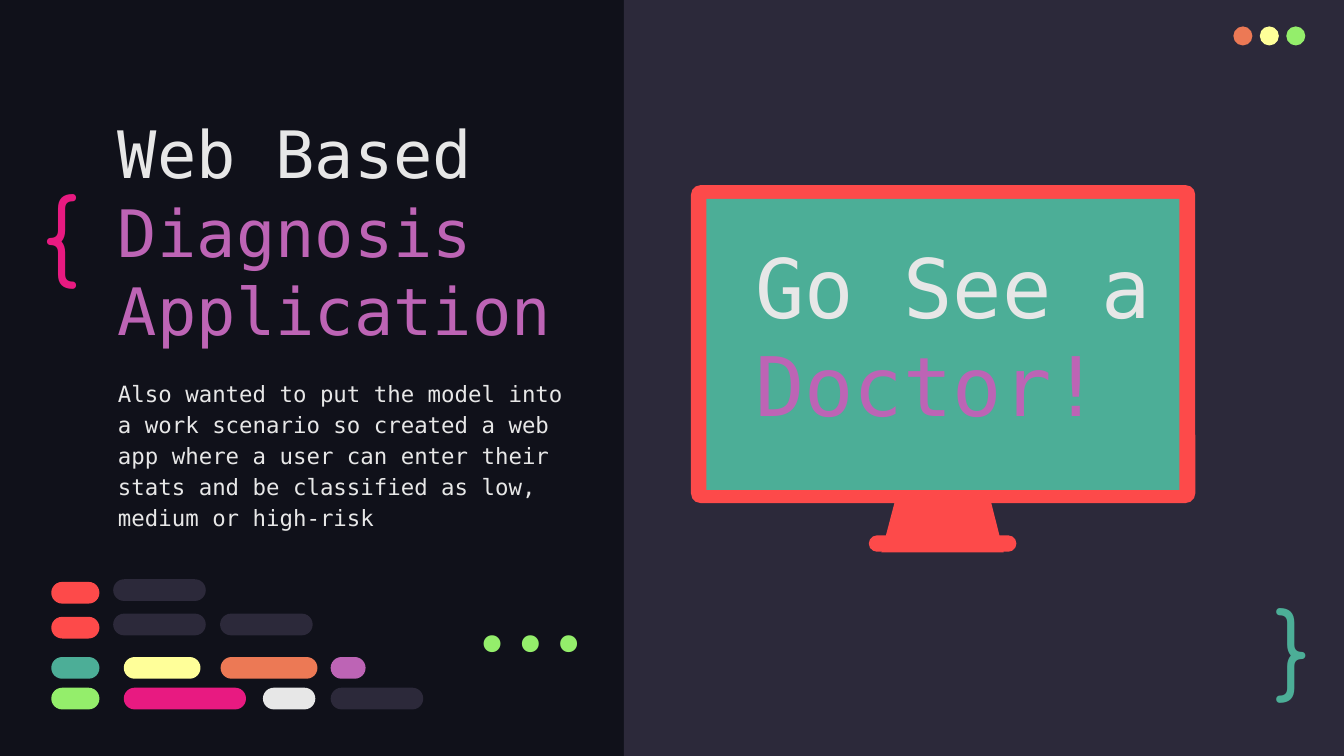
from pptx import Presentation
from pptx.dml.color import RGBColor
from pptx.enum.shapes import MSO_SHAPE as Preset
from pptx.enum.text import MSO_ANCHOR as Anchor, MSO_AUTO_SIZE as AutoSize, PP_ALIGN as Align
from pptx.util import Cm, Pt

NIGHT, SLATE, WHITE = "10111A", "2C293A", "E7E7E7"
RED, TEAL, GREEN, YELLOW = "FD4A4A", "4CAE97", "94EE6B", "FFFF99"
ORANGE, PURPLE, PINK = "EC7955", "BD64B5", "E81A81"
MONO, BRACE, CODE = "DejaVu Sans Mono", "Comfortaa", "Fira Code"


def color(hex_value):
    return RGBColor.from_string(hex_value)


class SlideBuilder:
    """Holds the text style and the slide being built; all lengths are in cm."""

    inset = 0.25

    def __init__(self, slide):
        self.slide = slide
        slide.background.fill.solid()
        slide.background.fill.fore_color.rgb = color(NIGHT)

    def group(self):
        return self.slide.shapes.add_group_shape().shapes

    def paint(self, shape, fill):
        shape.shadow.inherit = False
        shape.fill.solid()
        shape.fill.fore_color.rgb = color(fill)
        shape.line.fill.background()

    def shape(self, preset, box, fill, into=None, rounding=None):
        shapes = self.slide.shapes if into is None else into
        shape = shapes.add_shape(preset, *map(Cm, box))
        if rounding is not None:
            shape.adjustments[0] = rounding
        self.paint(shape, fill)

    def pill(self, box, fill, into):
        self.shape(Preset.ROUNDED_RECTANGLE, box, fill, into, 0.5)

    def polygon(self, points, fill, into):
        corners = [(Cm(x), Cm(y)) for x, y in points]
        outline = into.build_freeform(*corners[0])
        outline.add_line_segments(corners[1:], close=True)
        self.paint(outline.convert_to_shape(), fill)

    def text(self, box, runs, size, font=MONO, anchor=Anchor.TOP,
             align=Align.LEFT, spacing=1.0, holder=None):
        """Write (text, colour) runs in a placeholder, or in a new text box."""
        if holder is None:
            holder = self.slide.shapes.add_textbox(*map(Cm, box))
        for name, length in zip(("left", "top", "width", "height"), box):
            setattr(holder, name, Cm(length))
        frame = holder.text_frame
        frame_format = {"word_wrap": True, "auto_size": AutoSize.NONE,
                        "vertical_anchor": anchor}
        for side in ("left", "top", "right", "bottom"):
            frame_format[f"margin_{side}"] = Cm(self.inset)
        for name, value in frame_format.items():
            setattr(frame, name, value)
        paragraph = frame.paragraphs[0]
        paragraph_format = {"alignment": align, "line_spacing": spacing,
                            "space_before": Pt(0), "space_after": Pt(0)}
        for name, value in paragraph_format.items():
            setattr(paragraph, name, value)
        for words, hex_value in runs:
            run = paragraph.add_run()
            run.text = words
            run.font.name, run.font.size = font, Pt(size)
            run.font.color.rgb = color(hex_value)


def add_monitor(builder):
    monitor = builder.group()
    builder.polygon([(16.92, 9.45), (16.66, 10.44), (18.97, 10.44), (18.72, 9.45)],
                    RED, monitor)
    builder.shape(Preset.ROUNDED_RECTANGLE, (13.06, 3.5, 9.53, 6.01), RED, monitor, 0.03)
    builder.shape(Preset.RECTANGLE, (13.35, 3.76, 8.94, 5.5), TEAL, monitor)
    builder.pill((16.42, 10.12, 2.79, 0.31), RED, monitor)


def add_window_dots(builder):
    dots = builder.group()
    for i, fill in enumerate((ORANGE, YELLOW, GREEN)):
        builder.shape(Preset.OVAL, (23.31 + 0.5 * i, 0.5, 0.36, 0.36), fill, dots)


def add_code_lines(builder):
    """Each row is its top and its pills as (left, width, colour)."""
    rows = [
        (11.0, [(0.97, 0.91, RED)]),
        (11.66, [(0.97, 0.91, RED)]),
        (12.42, [(0.97, 0.91, TEAL), (2.34, 1.45, YELLOW),
                 (4.17, 1.83, ORANGE), (6.25, 0.66, PURPLE)]),
        (13.0, [(0.97, 0.91, GREEN), (2.34, 2.31, PINK),
                (4.97, 0.99, WHITE), (6.25, 1.75, SLATE)]),
        (11.6, [(2.14, 1.75, SLATE), (4.16, 1.75, SLATE)]),
        (10.95, [(2.14, 1.75, SLATE)]),
    ]
    code = builder.group()
    for top, pills in rows:
        for left, width, fill in pills:
            builder.pill((left, top, width, 0.41), fill, code)


def main():
    deck = Presentation()
    deck.slide_width, deck.slide_height = Cm(25.4), Cm(14.29)
    slide = deck.slides.add_slide(deck.slide_layouts[0])
    builder = SlideBuilder(slide)

    builder.shape(Preset.RECTANGLE, (11.79, 0, 13.61, 14.29), SLATE)
    add_monitor(builder)
    builder.text((1.98, 3.89, 9.02, 2.95),
                 [("Web Based ", WHITE), ("Diagnosis Application", PURPLE)],
                 35, anchor=Anchor.BOTTOM, holder=slide.shapes.title)
    summary = ("Also wanted to put the model into a work scenario so created a web app "
               "where a user can enter their stats and be classified as low, "
               "medium or high-risk")
    builder.text((1.98, 6.86, 9.02, 3.89), [(summary, WHITE)], 12,
                 spacing=1.15, holder=slide.placeholders[1])
    add_window_dots(builder)
    builder.text((0.56, 3.05, 1.96, 2.41), [("{", PINK)], 50, BRACE)
    builder.text((23.85, 11.13, 1.45, 2.11), [("}", TEAL)], 50, BRACE, Anchor.MIDDLE)
    builder.text((7.9, 11.4, 4.01, 1.52), [("...", GREEN)], 50, CODE,
                 Anchor.BOTTOM, Align.RIGHT)
    add_code_lines(builder)
    builder.text((14.02, 5.49, 9.02, 2.95), [("Go See a ", WHITE), ("Doctor!", PURPLE)],
                 44, anchor=Anchor.BOTTOM)

    deck.save("out.pptx")


if __name__ == "__main__":
    main()
